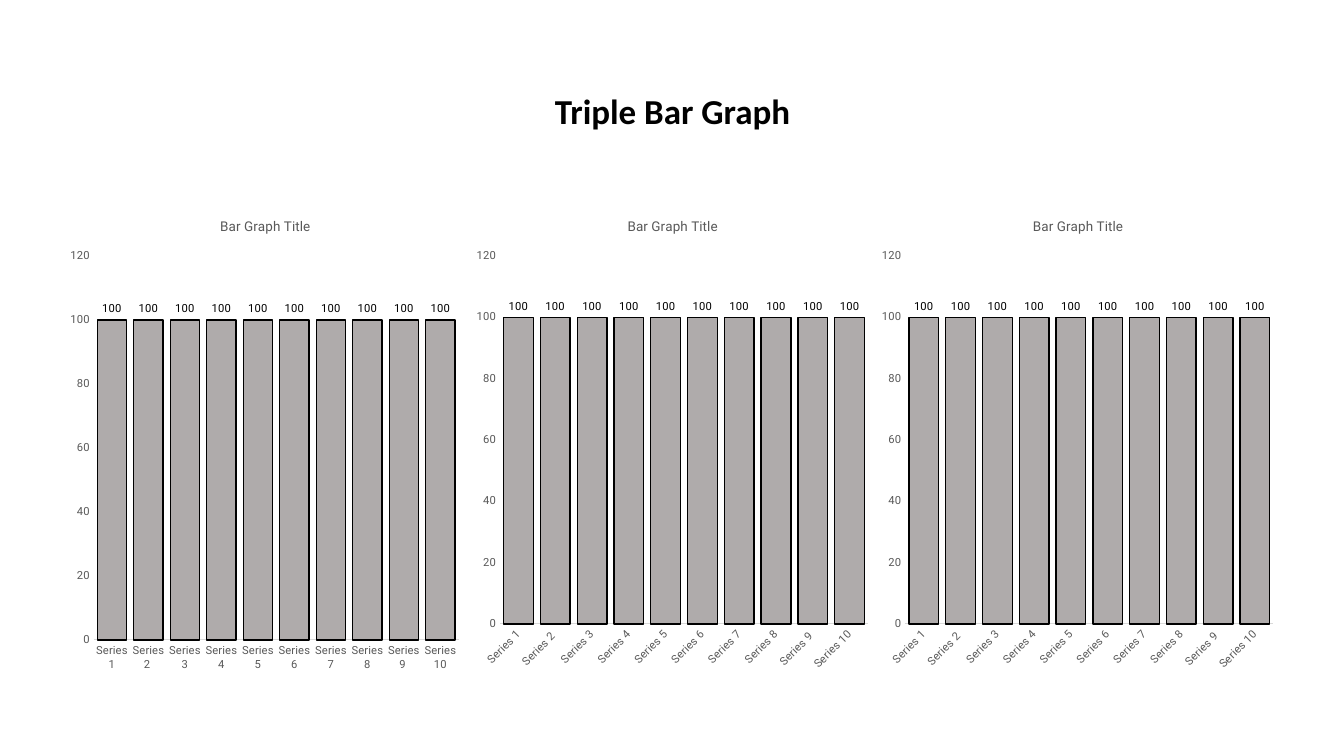
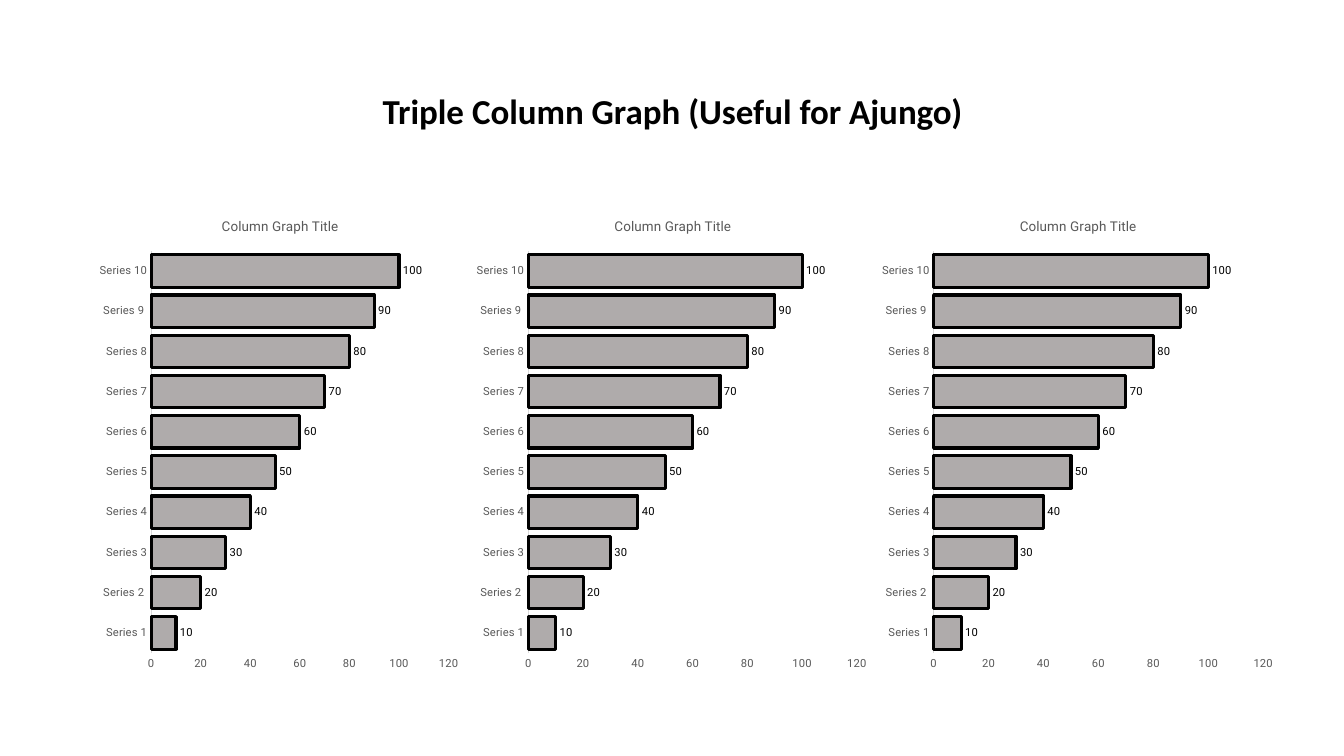
from dataclasses import dataclass

import lxml.etree
import pptx
import pptx.chart.data
import pptx.dml.color
import pptx.enum.chart
import pptx.enum.text
import pptx.oxml.ns
import pptx.util

PX = 9144  # EMU per px, 100 px to the inch
CHART_TOP, CHART_HEIGHT = 200, 476


@dataclass(frozen=True)
class Theme:
    ink: str = "000000"
    muted: str = "595959"
    axis_line: str = "D9D9D9"
    bar: str = "AFABAB"
    heading_font: str = "Calibri"
    chart_font: str = "Roboto"
    heading_size: float = 25
    chart_title_size: float = 9.6
    label_size: float = 8
    axis_width: float = 0.75


@dataclass(frozen=True)
class Panel:
    """Horizontal extents of one chart and its plot, in px."""
    left: int
    width: int
    plot_left: int
    plot_right: int
    plot_bottom: int
    label_angle: int = 0


@dataclass(frozen=True)
class BarStyle:
    chart_type: pptx.enum.chart.XL_CHART_TYPE
    title: str
    title_width: int
    plot_top: int
    outline: float
    overlap: int = 0


def rgb(value):
    return pptx.dml.color.RGBColor.from_string(value)


def format_font(font, *, name, size, color, bold=False):
    font.name = name
    font.size = pptx.util.Pt(size)
    font.bold = bold
    font.color.rgb = rgb(color)


def write_text(frame, text, *, line_spacing=None, **font_format):
    paragraph = frame.paragraphs[0]
    paragraph.alignment = pptx.enum.text.PP_ALIGN.CENTER
    paragraph.line_spacing = line_spacing
    run = paragraph.add_run()
    run.text = text
    format_font(run.font, **font_format)


def set_layout(parent, index, **values):
    """Fix the place of a chart part, in fractions of the chart."""
    qn = pptx.oxml.ns.qn
    for old in parent.findall(qn("c:layout")):
        parent.remove(old)
    layout = lxml.etree.Element(qn("c:layout"))
    manual = lxml.etree.SubElement(layout, qn("c:manualLayout"))
    for tag, value in values.items():
        lxml.etree.SubElement(manual, qn(f"c:{tag}")).set("val", str(value))
    parent.insert(index, layout)


class Deck:
    def __init__(self, theme):
        self.theme = theme
        self.presentation = pptx.Presentation()
        self.presentation.slide_width = 1333 * PX
        self.presentation.slide_height = 750 * PX
        self.slide = None

    def chart_text(self, color, size=None):
        return dict(name=self.theme.chart_font, color=color,
                    size=size or self.theme.label_size)

    def add_slide(self, title):
        layout = self.presentation.slide_layouts[5]
        self.slide = self.presentation.slides.add_slide(layout)
        shape = self.slide.shapes.title
        shape.left, shape.top = 92 * PX, 40 * PX
        shape.width, shape.height = 1150 * PX, 145 * PX
        shape.text_frame.vertical_anchor = pptx.enum.text.MSO_ANCHOR.MIDDLE
        shape.text_frame.word_wrap = True
        write_text(shape.text_frame, title, name=self.theme.heading_font,
                   size=self.theme.heading_size, color=self.theme.ink,
                   bold=True, line_spacing=0.9)

    def add_chart(self, panel, style, categories, values):
        data = pptx.chart.data.CategoryChartData(number_format="#,##0")
        data.categories = categories
        data.add_series("Series 1", values)
        chart = self.slide.shapes.add_chart(
            style.chart_type, panel.left * PX, CHART_TOP * PX,
            panel.width * PX, CHART_HEIGHT * PX, data).chart
        chart.has_legend = False
        format_font(chart.font, **self.chart_text(self.theme.ink))
        chart.has_title = True
        write_text(chart.chart_title.text_frame, style.title,
                   **self.chart_text(self.theme.muted, self.theme.chart_title_size))
        chart.chart_title.include_in_layout = False
        self.format_axes(chart, panel.label_angle)
        self.format_bars(chart.plots[0], style)
        self.place_parts(chart, panel, style)

    def format_axes(self, chart, label_angle):
        for axis in (chart.category_axis, chart.value_axis):
            axis.has_major_gridlines = False
            axis.major_tick_mark = pptx.enum.chart.XL_TICK_MARK.NONE
            axis.minor_tick_mark = pptx.enum.chart.XL_TICK_MARK.NONE
            format_font(axis.tick_labels.font, **self.chart_text(self.theme.muted))
        line = chart.category_axis.format.line
        line.color.rgb = rgb(self.theme.axis_line)
        line.width = pptx.util.Pt(self.theme.axis_width)
        body = chart.element.xpath(".//c:catAx/c:txPr/a:bodyPr")[0]
        body.set("rot", str(label_angle * 60000))
        value_axis = chart.value_axis
        value_axis.format.line.fill.background()
        value_axis.minimum_scale, value_axis.maximum_scale = 0, 120
        value_axis.major_unit = 20
        value_axis.tick_labels.number_format = "#,##0"
        value_axis.tick_labels.number_format_is_linked = False

    def format_bars(self, plot, style):
        plot.vary_by_categories = False
        plot.gap_width = 24
        plot.overlap = style.overlap
        bars = plot.series[0].format
        bars.fill.solid()
        bars.fill.fore_color.rgb = rgb(self.theme.bar)
        bars.line.color.rgb = rgb(self.theme.ink)
        bars.line.width = pptx.util.Pt(style.outline)
        plot.has_data_labels = True
        labels = plot.data_labels
        labels.show_value = True
        labels.position = pptx.enum.chart.XL_LABEL_POSITION.OUTSIDE_END
        labels.number_format = "#,##0"
        labels.number_format_is_linked = False
        format_font(labels.font, **self.chart_text(self.theme.ink))

    def place_parts(self, chart, panel, style):
        title = chart.element.xpath("c:chart/c:title")[0]
        plot_area = chart.element.xpath("c:chart/c:plotArea")[0]
        set_layout(title, 1, xMode="edge", yMode="edge",
                   x=(panel.width - style.title_width) / 2 / panel.width,
                   y=13 / CHART_HEIGHT)
        set_layout(plot_area, 0, layoutTarget="inner", xMode="edge", yMode="edge",
                   x=(panel.plot_left - panel.left) / panel.width,
                   y=(style.plot_top - CHART_TOP) / CHART_HEIGHT,
                   w=(panel.plot_right - panel.plot_left) / panel.width,
                   h=(panel.plot_bottom - style.plot_top) / CHART_HEIGHT)


def main():
    chart_types = pptx.enum.chart.XL_CHART_TYPE
    categories = ["Series 1", "Series 2 ", "Series 3", "Series 4", "Series 5",
                  "Series 6", "Series 7", "Series 8", "Series 9 ", "Series 10"]
    columns = BarStyle(chart_types.COLUMN_CLUSTERED, "Bar Graph Title",
                       title_width=94, plot_top=254, outline=1, overlap=-27)
    bars = BarStyle(chart_types.BAR_CLUSTERED, "Column Graph Title",
                    title_width=120, plot_top=249, outline=2.25)
    slides = [
        ("Triple Bar Graph", columns, [100] * 10, [
            Panel(63, 400, 93, 455, 635),
            Panel(867, 404, 898, 1263, 619, label_angle=-45),
            Panel(465, 404, 496, 861, 619, label_angle=-45),
        ]),
        ("Triple Column Graph (Useful for Ajungo)", bars, range(10, 101, 10), [
            Panel(92, 371, 150, 445, 648),
            Panel(867, 404, 926, 1253, 648),
            Panel(465, 404, 524, 850, 648),
        ]),
    ]
    deck = Deck(Theme())
    for title, style, values, panels in slides:
        deck.add_slide(title)
        for panel in panels:
            deck.add_chart(panel, style, categories, values)
    deck.presentation.save("out.pptx")


if __name__ == "__main__":
    main()
